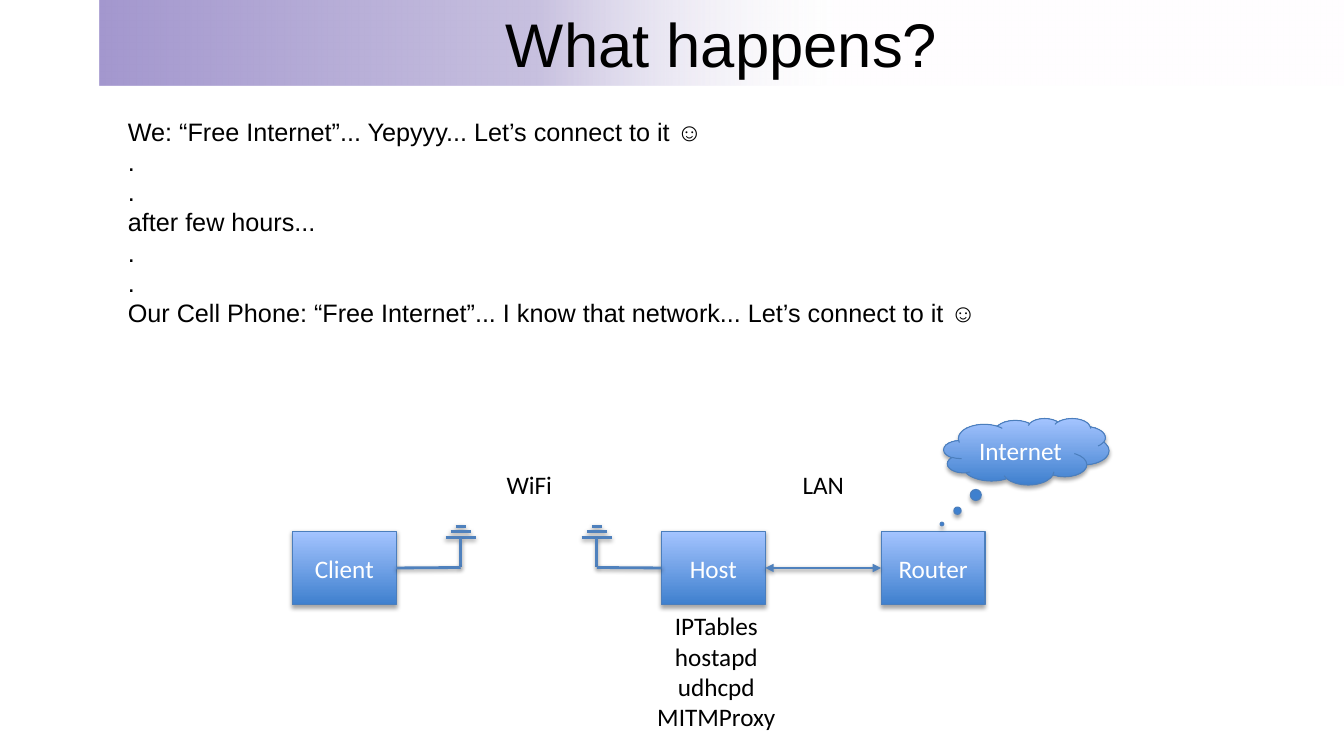
from lxml import etree
from pptx import Presentation, util as u
from pptx.dml.color import RGBColor
from pptx.enum import shapes, text
from pptx.oxml.ns import qn

EMU_PER_PX = 9144

BLACK = RGBColor(0x00, 0x00, 0x00)
WHITE = RGBColor(0xFF, 0xFF, 0xFF)
DEEP_BLUE = RGBColor(0x3F, 0x80, 0xCE)
LIGHT_BLUE = RGBColor(0xA4, 0xC4, 0xFF)
EDGE_BLUE = RGBColor(0x4B, 0x7E, 0xBC)
WIRE_BLUE = RGBColor(0x4F, 0x81, 0xBD)
LILAC = RGBColor(0xA3, 0x97, 0xCE)
PALE_LILAC = RGBColor(0xC7, 0xC0, 0xDF)
NEAR_WHITE = RGBColor(0xFC, 0xFB, 0xFD)

# Each stop is position %, colour, opacity %
BLUE_STOPS = [(0, DEEP_BLUE, 100), (100, LIGHT_BLUE, 100)]
BANNER_STOPS = [(0, LILAC, 100), (35, PALE_LILAC, 100), (59, NEAR_WHITE, 14)]

STORY = """We: “Free Internet”... Yepyyy... Let’s connect to it ☺
.
.
after few hours...
.
.
Our Cell Phone: “Free Internet”... I know that network... Let’s connect to it ☺"""
SERVICES = "IPTables\nhostapd\nudhcpd\nMITMProxy"

BOX_TOP, BOX_WIDTH, BOX_HEIGHT = 527, 103, 73
WIRE_Y = BOX_TOP + BOX_HEIGHT // 2
LEFT_SIDE, RIGHT_SIDE = 1, 3


def px(*lengths):
    return [u.Emu(length * EMU_PER_PX) for length in lengths]


def add_child(parent, tag, **attributes):
    child = etree.SubElement(parent, qn(tag))
    for name, value in attributes.items():
        child.set(name, str(value))
    return child


def add_color(parent, color, opacity):
    node = add_child(parent, "a:srgbClr", val=color)
    if opacity < 100:
        add_child(node, "a:alpha", val=opacity * 1000)


def add_shadow(effects, opacity, distance):
    """Put a soft shadow below the shape into its effect list."""
    shadow = add_child(effects, "a:outerShdw", blurRad=u.Pt(3.1), dist=u.Pt(distance),
                       dir=90 * 60000, rotWithShape=0)
    add_color(shadow, BLACK, opacity)


def set_gradient(shape, stops, angle):
    shape.fill.gradient()
    shape.fill.gradient_angle = angle
    stop_list = shape._element.spPr.find(".//" + qn("a:gsLst"))
    for stop in list(stop_list):
        stop_list.remove(stop)
    for position, color, opacity in stops:
        add_color(add_child(stop_list, "a:gs", pos=position * 1000), color, opacity)


def write(frame, content, size=18, font="Calibri", color=BLACK,
          align=text.PP_ALIGN.CENTER, anchor=text.MSO_ANCHOR.TOP):
    """Write one paragraph per line of content."""
    frame.word_wrap = True
    frame.vertical_anchor = anchor
    for index, line in enumerate(content.split("\n")):
        para = frame.add_paragraph() if index else frame.paragraphs[0]
        para.alignment = align
        span = para.add_run()
        span.text = line
        span.font.size = u.Pt(size)
        span.font.name = font
        span.font.color.rgb = color


def add_label(page, at, content, **text_format):
    box = page.shapes.add_textbox(*px(*at))
    write(box.text_frame, content, **text_format)
    box.text_frame.auto_size = text.MSO_AUTO_SIZE.SHAPE_TO_FIT_TEXT


def add_banner(page, title):
    banner = page.shapes.add_shape(shapes.MSO_SHAPE.RECTANGLE, *px(99, 0, 1234, 85))
    banner.shadow.inherit = False
    banner.line.fill.background()
    set_gradient(banner, BANNER_STOPS, 0)
    write(banner.text_frame, title, size=44, font="Arial", anchor=text.MSO_ANCHOR.MIDDLE)


def add_node(page, kind, at, name):
    node = page.shapes.add_shape(kind, *px(*at))
    set_gradient(node, BLUE_STOPS, 90)
    node.line.color.rgb = EDGE_BLUE
    node.line.width = u.Pt(0.75)
    node.shadow.inherit = False
    add_shadow(node._element.spPr.find(qn("a:effectLst")), 35, 1.8)
    write(node.text_frame, name, color=WHITE, anchor=text.MSO_ANCHOR.MIDDLE)
    return node


def add_device(page, left, name):
    at = (left, BOX_TOP, BOX_WIDTH, BOX_HEIGHT)
    return add_node(page, shapes.MSO_SHAPE.RECTANGLE, at, name)


def add_wire(page, start, end, arrows=False):
    wire = page.shapes.add_connector(shapes.MSO_CONNECTOR.STRAIGHT, *px(*start, *end))
    wire.line.color.rgb = WIRE_BLUE
    wire.line.width = u.Pt(2)
    properties = wire._element.spPr
    if arrows:
        outline = properties.find(qn("a:ln"))
        for tag in ("a:headEnd", "a:tailEnd"):
            add_child(outline, tag, type="triangle")
    add_shadow(add_child(properties, "a:effectLst"), 38, 1.6)
    return wire


def add_antenna(page, device, side, mast):
    """Draw an antenna at x = mast, wired to one side of the device."""
    for y, half_width in ((522, 5), (527, 10), (533, 15)):
        add_wire(page, (mast - half_width, y), (mast + half_width, y))
    add_wire(page, (mast, 534), (mast, WIRE_Y))
    feed = add_wire(page, (mast, WIRE_Y), (mast, WIRE_Y))
    feed.begin_connect(device, side)


def main():
    deck = Presentation()
    deck.slide_width, deck.slide_height = px(1333, 750)
    page = deck.slides.add_slide(deck.slide_layouts[6])

    add_banner(page, "What happens?")
    client = add_device(page, 290, "Client")
    proxy_host = add_device(page, 656, "Host")
    router = add_device(page, 874, "Router")

    add_antenna(page, client, RIGHT_SIDE, 457)
    add_antenna(page, proxy_host, LEFT_SIDE, 592)
    lan = add_wire(page, (759, WIRE_Y), (874, WIRE_Y), arrows=True)
    lan.begin_connect(proxy_host, RIGHT_SIDE)
    lan.end_connect(router, LEFT_SIDE)

    cloud = add_node(page, shapes.MSO_SHAPE.CLOUD_CALLOUT, (936, 415, 164, 66), "Internet")
    cloud.adjustments[0] = -0.51
    cloud.adjustments[1] = 1.09

    add_label(page, (473, 461, 104, 40), "WiFi")
    add_label(page, (759, 461, 115, 40), "LAN")
    add_label(page, (635, 601, 151, 131), SERVICES)
    add_label(page, (117, 110, 1200, 222), STORY, font="Arial", align=text.PP_ALIGN.LEFT)

    deck.save("out.pptx")


if __name__ == "__main__":
    main()
